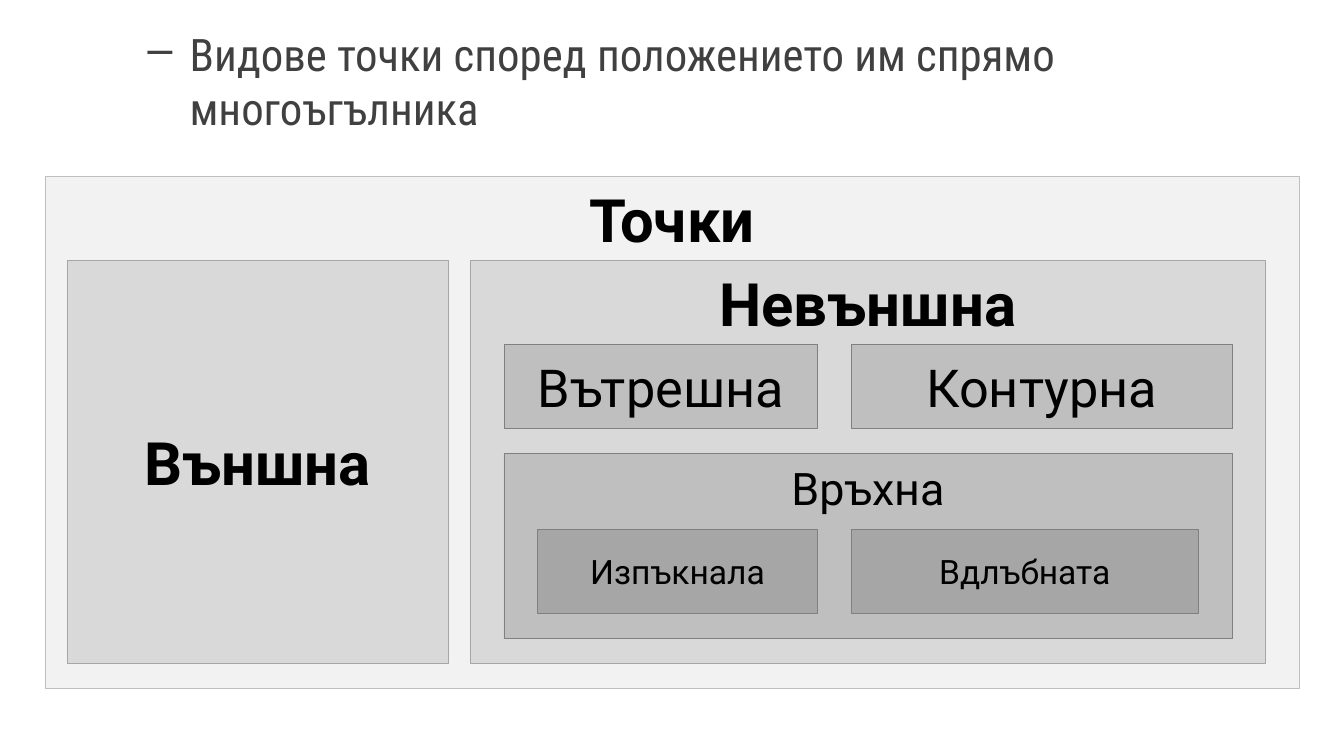
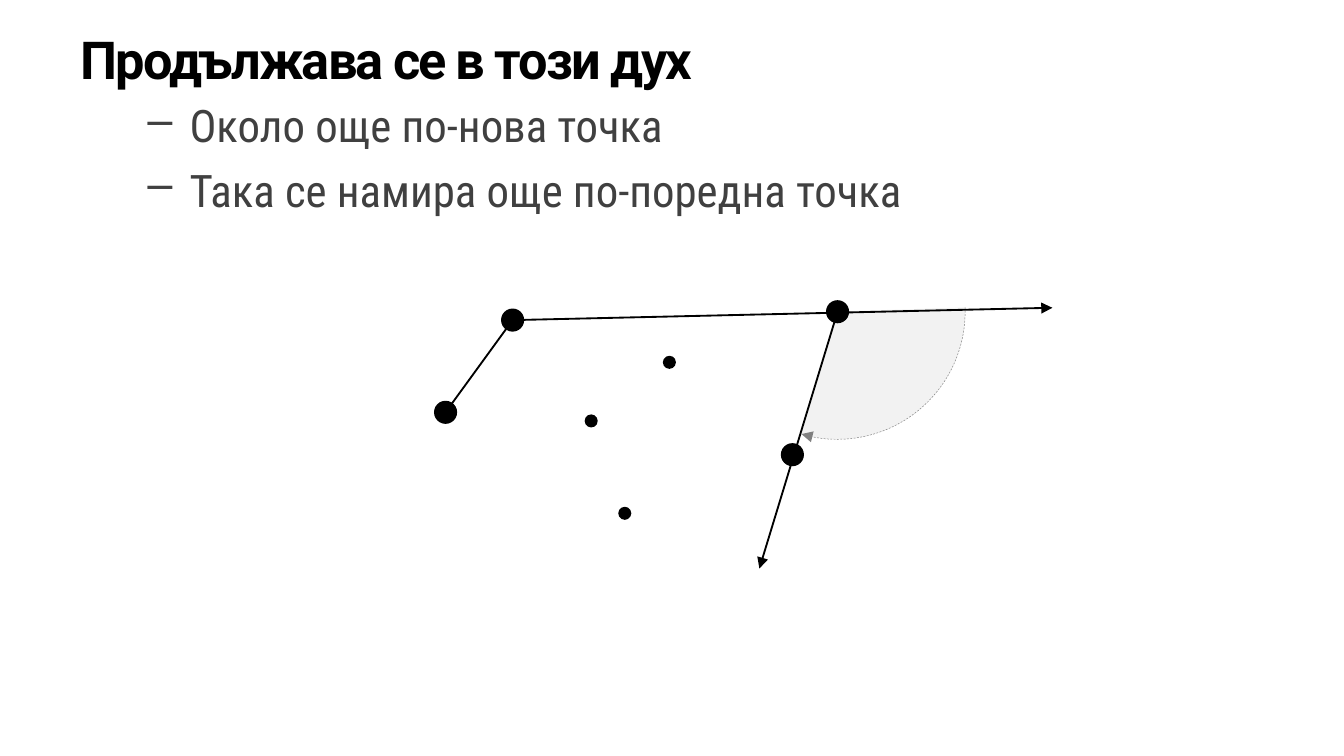
from lxml import etree
from pptx import Presentation
from pptx import util as u
from pptx.dml.color import RGBColor
from pptx.enum import dml, shapes, text
from pptx.oxml.ns import qn

COLORS = {
    "ink": "000000",
    "body": "404040",
    "edge": "808080",
    "pale": "F2F2F2",
    "light": "D9D9D9",
    "medium": "BFBFBF",
    "dark": "A6A6A6",
}
HEADING = {"name": "Roboto", "size": u.Pt(28), "bold": True}
BULLET = {"name": "Roboto Condensed", "size": u.Pt(24), "bold": False}
BODY_LEFT, BODY_TOP, BODY_WIDTH = 36, 10.8, 684
TITLE_ONLY, BLANK = 5, 6
TOP, MIDDLE = text.MSO_ANCHOR.TOP, text.MSO_ANCHOR.MIDDLE


def color(name):
    return RGBColor.from_string(COLORS[name])


def points(*lengths):
    return [u.Pt(length) for length in lengths]


def format_font(font, values, tint):
    for key, value in values.items():
        setattr(font, key, value)
    font.color.rgb = color(tint)


def format_frame(frame, anchor):
    values = {"word_wrap": True, "auto_size": text.MSO_AUTO_SIZE.NONE, "vertical_anchor": anchor}
    for key, value in values.items():
        setattr(frame, key, value)


def add_title(page, wording):
    title = page.shapes.title
    title.left, title.top, title.width, title.height = points(BODY_LEFT, BODY_TOP, BODY_WIDTH, 40)
    format_frame(title.text_frame, TOP)
    para = title.text_frame.paragraphs[0]
    para.alignment = text.PP_ALIGN.LEFT
    span = para.add_run()
    span.text = wording
    format_font(span.font, HEADING, "ink")
    span._r.get_or_add_rPr().set("spc", "-100")


def add_bullets(page, top, height, lines):
    box = page.shapes.add_textbox(*points(BODY_LEFT, top, BODY_WIDTH, height))
    frame = box.text_frame
    format_frame(frame, TOP)
    for index, line in enumerate(lines):
        para = frame.add_paragraph() if index else frame.paragraphs[0]
        para.text = line
        properties = para._p.get_or_add_pPr()
        properties.set("marL", str(u.Pt(58.5)))
        properties.set("indent", str(u.Pt(-22.5)))
        etree.SubElement(properties, qn("a:buChar"), char="–")
        if index:
            para.space_before = u.Pt(5.6)
        format_font(para.font, BULLET, "body")


def add_box(page, place, wording, size, fill, edge, anchor=MIDDLE, bold=False):
    box = page.shapes.add_shape(shapes.MSO_SHAPE.RECTANGLE, *points(*place))
    box.shadow.inherit = False
    box.fill.solid()
    box.fill.fore_color.rgb = color(fill)
    box.line.color.rgb = color(edge)
    box.line.width = u.Pt(0.25)
    format_frame(box.text_frame, anchor)
    para = box.text_frame.paragraphs[0]
    para.text = wording
    para.alignment = text.PP_ALIGN.CENTER
    format_font(para.font, {"name": "Roboto", "size": u.Pt(size), "bold": bold}, "ink")


def add_arrowhead(line):
    etree.SubElement(line._get_or_add_ln(), qn("a:tailEnd"), type="triangle")


def add_line(page, start, end, arrow=False):
    connector = page.shapes.add_connector(shapes.MSO_CONNECTOR.STRAIGHT, *points(*start, *end))
    connector.line.color.rgb = color("ink")
    connector.line.width = u.Pt(1)
    if arrow:
        add_arrowhead(connector.line)
    etree.SubElement(connector._element.spPr, qn("a:effectLst"))


def add_dot(page, center, diameter):
    left, top = (value - diameter / 2 for value in center)
    dot = page.shapes.add_shape(shapes.MSO_SHAPE.OVAL, *points(left, top, diameter, diameter))
    dot.shadow.inherit = False
    dot.fill.solid()
    dot.fill.fore_color.rgb = color("ink")
    dot.line.fill.background()


def add_angle(page, center, radius, start, end):
    left, top = (value - radius for value in center)
    arc = page.shapes.add_shape(shapes.MSO_SHAPE.ARC, *points(left, top, 2 * radius, 2 * radius))
    for index, degrees in enumerate((start, end)):
        arc.adjustments[index] = degrees * 0.6
    arc.shadow.inherit = False
    arc.fill.solid()
    arc.fill.fore_color.rgb = color("pale")
    arc.line.color.rgb = color("edge")
    arc.line.width = u.Pt(0.25)
    arc.line.dash_style = dml.MSO_LINE.DASH
    add_arrowhead(arc.line)


def build_point_types(deck):
    page = deck.slides.add_slide(deck.slide_layouts[BLANK])
    add_bullets(page, BODY_TOP, 72, ["Видове точки според положението им спрямо многоъгълника"])
    boxes = [
        ((24, 94.5, 672, 274.5), "Точки", 32, "pale", "medium", TOP, True),
        ((252, 139.5, 426, 216), "Невъншна", 32, "light", "dark", TOP, True),
        ((36, 139.5, 204, 216), "Външна", 32, "light", "dark", MIDDLE, True),
        ((456, 184.5, 204, 45), "Контурна", 28, "medium", "edge"),
        ((270, 243, 390, 99), "Връхна", 24, "medium", "edge", TOP),
        ((270, 184.5, 168, 45), "Вътрешна", 28, "medium", "edge"),
        ((288, 283.5, 150, 45), "Изпъкнала", 18, "dark", "edge"),
        ((456, 283.5, 186, 45), "Вдлъбната", 18, "dark", "edge"),
    ]
    for box in boxes:
        add_box(page, *box)


def build_next_point(deck):
    page = deck.slides.add_slide(deck.slide_layouts[TITLE_ONLY])
    add_title(page, "Продължава се в този дух")
    add_bullets(page, 49, 72, ["Около още по-нова точка", "Така се намира още по-поредна точка"])
    first, second, pivot, found = (238.7, 220.9), (274.6, 171.5), (448.7, 167), (424.5, 243.6)
    add_angle(page, pivot, 68.4, 358.12, 106.37)
    add_line(page, pivot, (406.8, 304.6), arrow=True)
    add_line(page, second, (563.8, 164.9), arrow=True)
    add_line(page, first, second)
    for center in (first, second, pivot, found):
        add_dot(page, center, 12.4)
    for center in ((358.6, 194.1), (334.7, 275), (316.7, 225.5)):
        add_dot(page, center, 7)


def main():
    deck = Presentation()
    deck.slide_width, deck.slide_height = points(720, 405)
    build_point_types(deck)
    build_next_point(deck)
    deck.save("out.pptx")


if __name__ == "__main__":
    main()
